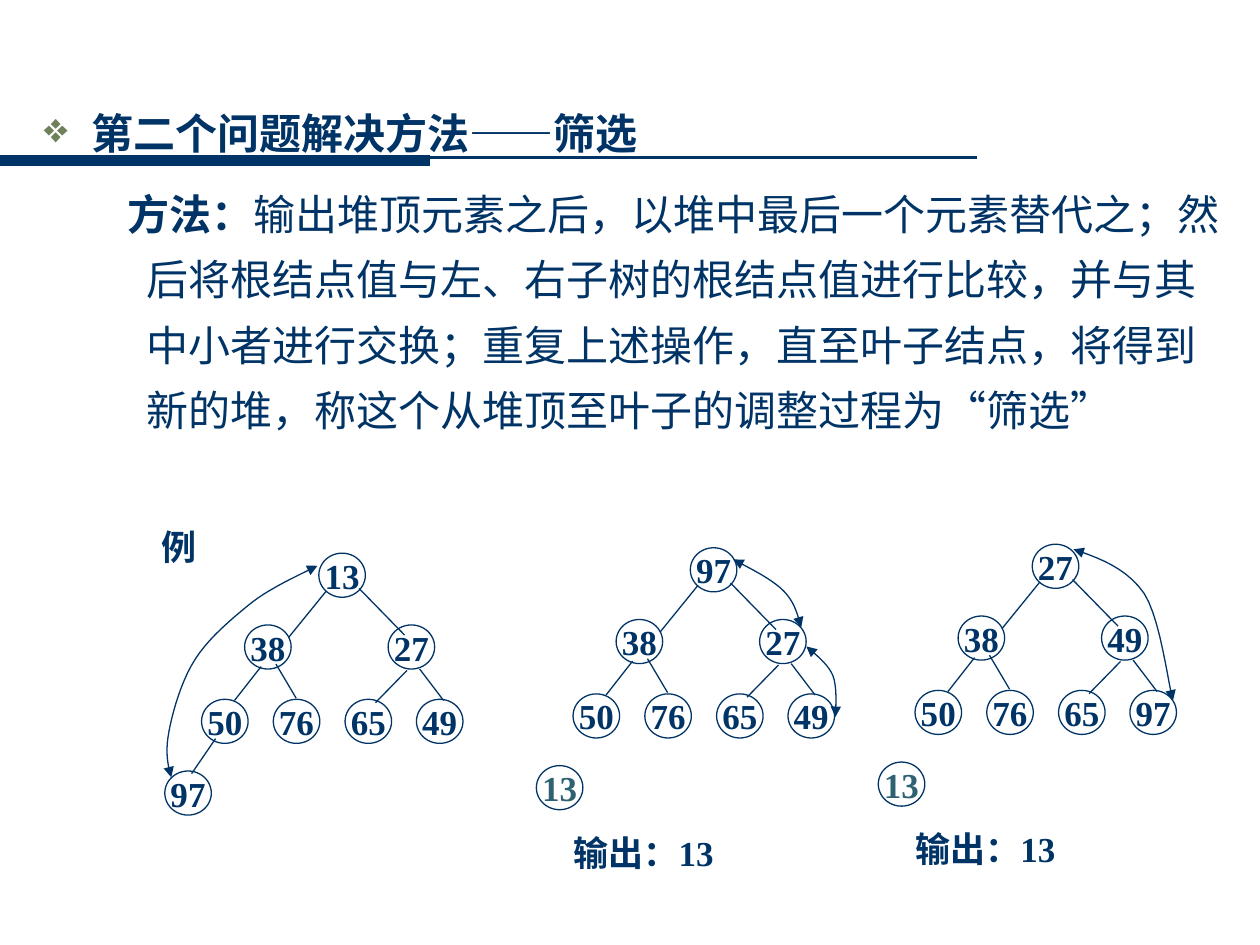
from lxml import etree
from pptx import Presentation, util as u
from pptx.dml.color import RGBColor
from pptx.enum import shapes as sh, text as tx
from pptx.oxml.ns import qn

NAVY, TEAL, SAGE = "003366", "2E6272", "6E815B"
FACE = "Times New Roman"
WIDE, TALL = 26.6, 25.2
SLOTS = [(0, 0), (-42.4, 41), (39.6, 41), (-67, 83.5), (-26, 83.5),
         (15, 83.5), (55.8, 83.5), (-88, 124.5)]
EDGES = [(4.3, 21.6, -17.3, 48.2), (23, 20.2, 49, 46.8),
         (-33, 64.8, -48.2, 84.2), (-24.5, 63.4, -13, 82.8),
         (50.4, 67, 32.4, 85.4), (57.6, 66.2, 71.3, 84.2)]
STEM = (-59, 106, -72.7, 126)
TREES = [
    (182.2, 316.1, (13, 38, 27, 50, 76, 65, 49, 97), False),
    (394.5, 313, (97, 38, 27, 50, 76, 65, 49, 13), True),
    (589.9, 311, (27, 38, 49, 50, 76, 65, 97, 13), True),
]
SWAPS = [
    [(181.4, 323.3), (168.5, 329.8), (155.5, 335.5), (144, 344.2),
     (132.5, 353.5), (119.5, 364.3), (111.6, 376.6),
     (103.7, 388.8), (98.6, 406.8), (96.5, 418.3),
     (94.3, 429.8), (95.8, 437), (97.9, 444.2)],
    [(419, 319.7), (429.8, 325.4), (441.4, 331.2), (447.8, 337.7),
     (454.3, 344.2), (455.8, 351.4), (457.9, 358.6)],
    [(460.8, 369.4), (466.6, 374.4), (473, 379.4), (475.9, 385.9),
     (478.8, 393.1), (477.4, 406.8), (477.4, 409.7)],
    [(613.4, 313.9), (628.6, 319), (643.7, 324.7), (653.8, 339.1),
     (663.1, 353.5), (667.4, 390.2), (670.3, 400.3)],
]


def tint(code):
    """Turn a hex string into a colour."""
    return RGBColor.from_string(code)


def run(para, words, size=20, bold=True, color=NAVY):
    """Add one run of text."""
    part = para.add_run()
    part.text = words
    font = part.font
    font.name, font.size, font.bold = FACE, u.Pt(size), bold
    font.color.rgb = tint(color)


def box(slide, left, top, wide, high, wrap=False):
    """Add a text box and return its frame."""
    frame = slide.shapes.add_textbox(
        u.Pt(left), u.Pt(top), u.Pt(wide), u.Pt(high)).text_frame
    frame.word_wrap = wrap
    return frame


def line(slide, ax, ay, bx, by, width=0.75):
    """Draw a straight line."""
    link = slide.shapes.add_connector(
        sh.MSO_CONNECTOR.STRAIGHT, u.Pt(ax), u.Pt(ay), u.Pt(bx), u.Pt(by))
    link.line.color.rgb = tint(NAVY)
    link.line.width = u.Pt(width)
    etree.SubElement(link._element.spPr, qn("a:effectLst"))


def trim(shape):
    """Give a shape a thin outline without fill or shadow."""
    shape.shadow.inherit = False
    shape.fill.background()
    shape.line.color.rgb = tint(NAVY)
    shape.line.width = u.Pt(0.75)


def node(slide, left, top, key, color):
    """Draw one numbered tree node."""
    disc = slide.shapes.add_shape(
        sh.MSO_SHAPE.OVAL, u.Pt(left), u.Pt(top), u.Pt(WIDE), u.Pt(TALL))
    trim(disc)
    frame = disc.text_frame
    frame.word_wrap = False
    frame.vertical_anchor = tx.MSO_ANCHOR.MIDDLE
    para = frame.paragraphs[0]
    para.alignment = tx.PP_ALIGN.CENTER
    run(para, str(key), color=color)


def tree(slide, left, top, keys, done):
    """Draw a heap, with its output once the top is taken."""
    for (dx, dy), key in zip(SLOTS, keys):
        out = done and dy == SLOTS[-1][1]
        node(slide, left + dx, top + dy, key, TEAL if out else NAVY)
    for ax, ay, bx, by in EDGES if done else EDGES + [STEM]:
        line(slide, left + ax, top + ay, left + bx, top + by)
    if done:
        frame = box(slide, left - 74, top + 158.4, 99.4, 31.7)
        run(frame.paragraphs[0], "输出：13")


def curve(knots, steps=10):
    """List points along joined cubic curves."""
    spots = [knots[0]]
    for k in range(0, len(knots) - 1, 3):
        for n in range(1, steps + 1):
            t = n / steps
            s = 1 - t
            mix = (s ** 3, 3 * s * s * t, 3 * s * t * t, t ** 3)
            spots.append(tuple(
                sum(m * p[axis] for m, p in zip(mix, knots[k:k + 4]))
                for axis in (0, 1)))
    return [(u.Pt(x), u.Pt(y)) for x, y in spots]


def swap(slide, knots):
    """Draw a curved arrow with two heads."""
    first, *rest = curve(knots)
    pen = slide.shapes.build_freeform(*first)
    pen.add_line_segments(rest, close=False)
    arc = pen.convert_to_shape()
    trim(arc)
    for end in ("a:headEnd", "a:tailEnd"):
        etree.SubElement(arc.line._get_or_add_ln(), qn(end), type="triangle")


def dent(para, left, first, mark=None):
    """Set the indent of a paragraph and its bullet."""
    props = para._p.get_or_add_pPr()
    props.set("marL", str(u.Pt(left)))
    props.set("indent", str(u.Pt(first)))
    para.line_spacing = 1.3
    if mark:
        shade = etree.SubElement(props, qn("a:buClr"))
        etree.SubElement(shade, qn("a:srgbClr"), val=SAGE)
        etree.SubElement(props, qn("a:buChar"), char=mark)


def prose(slide):
    """Write the heading and the method."""
    frame = box(slide, 18, 49, 688.3, 414, True)
    head = frame.paragraphs[0]
    dent(head, 27, -27, "❖")
    run(head, "第二个问题解决方法——筛选", 24)
    body = frame.add_paragraph()
    dent(body, 58.5, -10.5)
    body.space_before = u.Pt(9)
    run(body, "方法：", 24)
    run(body, "输出堆顶元素之后，以堆中最后一个元素替代之；然后将根结点值"
        "与左、右子树的根结点值进行比较，并与其中小者进行交换；重复上述操作，"
        "直至叶子结点，将得到新的堆，称这个从堆顶至叶子的调整过程为“筛选”",
        24, False)


def main():
    """Build the slide."""
    deck = Presentation()
    deck.slide_width, deck.slide_height = u.Pt(720), u.Pt(540)
    slide = deck.slides.add_slide(deck.slide_layouts[6])
    line(slide, 0, 90, 558, 90, 1.5)
    line(slide, 0, 91.6, 246, 91.6, 6)
    prose(slide)
    run(box(slide, 85, 296.6, 34.6, 31.7).paragraphs[0], "例")
    for spot in TREES:
        tree(slide, *spot)
    for knots in SWAPS:
        swap(slide, knots)
    deck.save("out.pptx")


if __name__ == "__main__":
    main()
